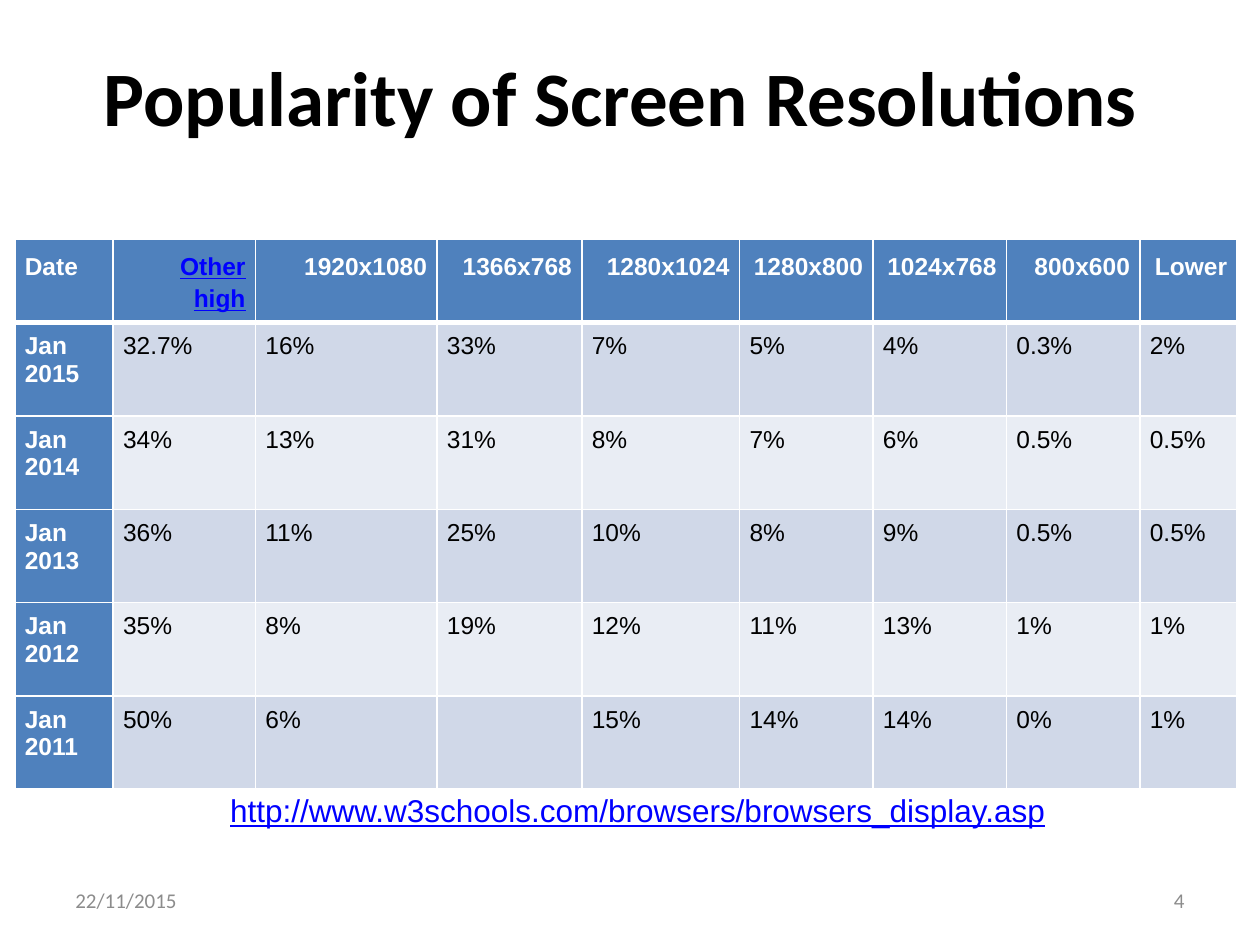
"""Build the slide on the popularity of screen resolutions."""
from lxml import etree
from pptx import Presentation
from pptx import util as u
from pptx.dml.color import RGBColor
from pptx.enum import text
from pptx.oxml.ns import qn

COLOURS = {"white": "FFFFFF", "black": "000000", "grey": "8C8C8C", "link": "0000FF",
           "header": "4F81BD", "odd": "D0D8E8", "even": "E9EDF4"}
HEADERS = ["Date", "Other high", "1920x1080", "1366x768", "1280x1024",
           "1280x800", "1024x768", "800x600", "Lower"]
POPULARITY = [
    ("Jan 2015", "32.7%", "16%", "33%", "7%", "5%", "4%", "0.3%", "2%"),
    ("Jan 2014", "34%", "13%", "31%", "8%", "7%", "6%", "0.5%", "0.5%"),
    ("Jan 2013", "36%", "11%", "25%", "10%", "8%", "9%", "0.5%", "0.5%"),
    ("Jan 2012", "35%", "8%", "19%", "12%", "11%", "13%", "1%", "1%"),
    ("Jan 2011", "50%", "6%", "", "15%", "14%", "14%", "0%", "1%"),
]
COLUMN_WIDTHS = [1.98, 2.87, 3.66, 2.92, 3.18, 2.69, 2.69, 2.69, 1.96]
HEADER_HEIGHT, ROW_HEIGHT = 1.19, 1.88
TABLE_LEFT, TABLE_TOP = 0.3, 4.83
CELL_MARGIN = 0.2
LEFT, CENTRE, RIGHT = text.PP_ALIGN.LEFT, text.PP_ALIGN.CENTER, text.PP_ALIGN.RIGHT
MIDDLE, TOP = text.MSO_ANCHOR.MIDDLE, text.MSO_ANCHOR.TOP
FOOTER = {"name": "Calibri", "size": u.Pt(12), "color": "grey"}
TEXT_BOXES = [
    ("Popularity of Screen Resolutions ", (1.27, 0.76, 22.86, 2.36), CENTRE, MIDDLE,
     {"name": "Calibri", "size": u.Pt(44), "bold": True, "color": "black"}),
    ("22/11/2015", (1.27, 17.65, 5.93, 1.01), LEFT, MIDDLE, FOOTER),
    ("4", (18.2, 17.65, 5.93, 1.01), RIGHT, MIDDLE, FOOTER),
    ("http://www.w3schools.com/browsers/browsers_display.asp", (4.39, 15.82, 17.2, 1.03), LEFT, TOP,
     {"name": "Arial", "size": u.Pt(18), "underline": True, "color": "link"}),
]


def colour(name):
    return RGBColor.from_string(COLOURS[name])


def set_attributes(target, values):
    for name, value in values.items():
        setattr(target, name, value)


def write(paragraph, wording, alignment, font_format):
    paragraph.alignment = alignment
    run = paragraph.add_run()
    run.text = wording
    set_attributes(run.font, {k: v for k, v in font_format.items() if k != "color"})
    run.font.color.rgb = colour(font_format["color"])


def add_text_box(slide, wording, place, alignment, anchor, font_format):
    frame = slide.shapes.add_textbox(*map(u.Cm, place)).text_frame
    set_attributes(frame, {"word_wrap": True, "vertical_anchor": anchor})
    write(frame.paragraphs[0], wording, alignment, font_format)


def add_borders(cell, widths):
    properties = cell._tc.get_or_add_tcPr()
    for side, width in widths.items():
        line = etree.SubElement(properties, qn(f"a:ln{side}"), w=str(u.Pt(width)))
        fill = etree.SubElement(line, qn("a:solidFill"))
        etree.SubElement(fill, qn("a:srgbClr"), val=COLOURS["white"])


def format_cell(cell, wording, row, column):
    is_header = row == 0
    is_heading = is_header or column == 0
    is_link = wording == "Other high"
    set_attributes(cell, {f"margin_{side}": u.Cm(CELL_MARGIN)
                          for side in ("left", "right", "top", "bottom")})
    add_borders(cell, {"L": 1, "R": 1, "T": 3 if row == 1 else 1, "B": 3 if is_header else 1})
    cell.fill.solid()
    cell.fill.fore_color.rgb = colour("header" if is_heading else "odd" if row % 2 else "even")
    paragraph = cell.text_frame.paragraphs[0]
    if is_header:
        set_attributes(paragraph, {"line_spacing": 1.15, "space_after": u.Pt(9)})
    if wording:
        write(paragraph, wording, RIGHT if is_header and column else LEFT,
              {"name": "Arial", "size": u.Pt(14), "bold": is_heading, "underline": is_link,
               "color": "link" if is_link else "white" if is_heading else "black"})


def add_popularity_table(slide):
    rows = [HEADERS, *POPULARITY]
    heights = [HEADER_HEIGHT] + [ROW_HEIGHT] * len(POPULARITY)
    place = (TABLE_LEFT, TABLE_TOP, sum(COLUMN_WIDTHS), sum(heights))
    table = slide.shapes.add_table(len(rows), len(HEADERS), *map(u.Cm, place)).table
    for column, width in zip(table.columns, COLUMN_WIDTHS):
        column.width = u.Cm(width)
    for row, height in zip(table.rows, heights):
        row.height = u.Cm(height)
    for row, values in enumerate(rows):
        for column, wording in enumerate(values):
            format_cell(table.cell(row, column), wording, row, column)


def main():
    presentation = Presentation()
    set_attributes(presentation, {"slide_width": u.Cm(25.4), "slide_height": u.Cm(19.05)})
    slide = presentation.slides.add_slide(presentation.slide_layouts[6])
    add_popularity_table(slide)
    for text_box in TEXT_BOXES:
        add_text_box(slide, *text_box)
    presentation.save("out.pptx")


if __name__ == "__main__":
    main()
